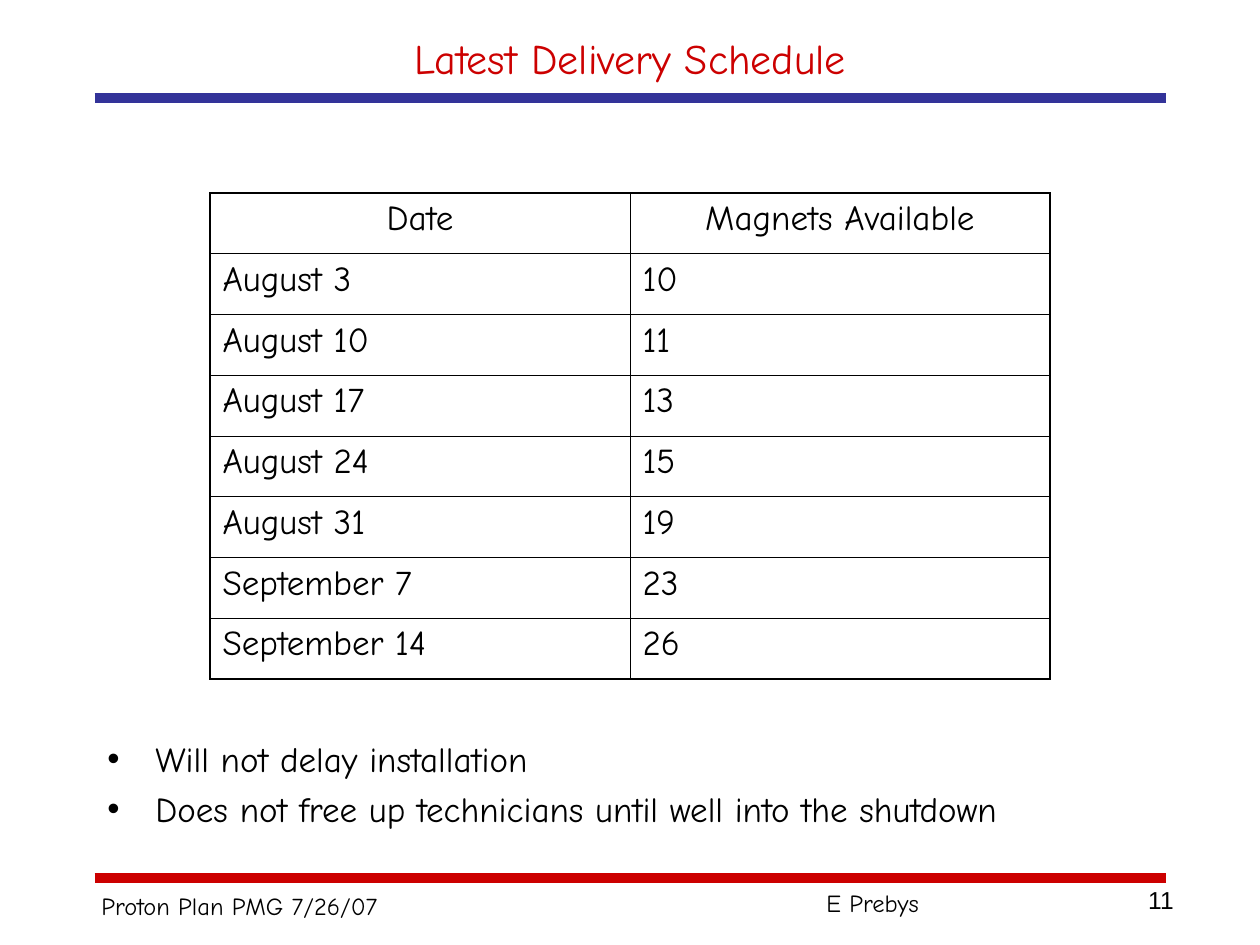
"""Build the magnet delivery schedule slide."""
from lxml import etree
from pptx import Presentation
from pptx import util as u
from pptx.dml.color import RGBColor
from pptx.enum import shapes, text
from pptx.oxml.ns import qn

PX = u.Inches(1) / 126
BLACK = RGBColor(0, 0, 0)
RED = RGBColor(0xCC, 0, 0)
BLUE = RGBColor(0x33, 0x33, 0x99)
FACE = "Comic Neue"
LEFT, MID, RIGHT = text.PP_ALIGN.LEFT, text.PP_ALIGN.CENTER, text.PP_ALIGN.RIGHT
THIN, THICK = 0.45, 1.08

RULES = [(878, RED), (98, BLUE)]
TITLE = "Latest Delivery Schedule"
ROWS = [
    ("Date", "Magnets Available"),
    ("August 3", "10"),
    ("August 10", "11"),
    ("August 17", "13"),
    ("August 24", "15"),
    ("August 31", "19"),
    ("September 7", "23"),
    ("September 14", "26"),
]
POINTS = [
    "Will not delay installation",
    "Does not free up technicians until well into the shutdown",
]
GRID = (210, 193, 840, 486)
FOOT = [
    ("Proton Plan PMG 7/26/07", (89, 885, 302, 43), FACE, LEFT),
    ("E Prebys", (814, 882, 349, 43), FACE, LEFT),
    ("11", (892, 879, 294, 66), "Arial", RIGHT),
]


def px(*vals):
    return [u.Emu(round(v * PX)) for v in vals]


def style(para, size, color=BLACK, face=FACE, align=LEFT):
    para.alignment = align
    para.font.size = u.Pt(size)
    para.font.name = face
    para.font.color.rgb = color


def add_box(slide, box, lines):
    frame = slide.shapes.add_textbox(*px(*box)).text_frame
    frame.word_wrap = True
    frame.text = "\n".join(lines)
    return frame


def add_rule(slide, y, color):
    line = slide.shapes.add_connector(
        shapes.MSO_CONNECTOR.STRAIGHT, *px(94.5, y, 1165.5, y))
    line.line.color.rgb = color
    line.line.width = u.Pt(6)
    etree.SubElement(line._element.spPr, qn("a:effectLst"))


def add_bullet(para):
    props = para._p.get_or_add_pPr()
    inset = px(48)[0]
    props.set("marL", str(inset))
    props.set("indent", str(-inset))
    etree.SubElement(props, qn("a:buFont"), typeface="Arial")
    etree.SubElement(props, qn("a:buChar"), char="•")


def add_edges(cell, widths):
    props = cell._tc.get_or_add_tcPr()
    for i, (side, width) in enumerate(zip("LRTB", widths)):
        edge = etree.Element(qn("a:ln" + side), w=str(u.Pt(width)))
        fill = etree.SubElement(edge, qn("a:solidFill"))
        etree.SubElement(fill, qn("a:srgbClr"), val=str(BLACK))
        props.insert(i, edge)


def add_grid(slide):
    rows, cols = len(ROWS), len(ROWS[0])
    table = slide.shapes.add_table(rows, cols, *px(*GRID)).table
    table.first_row = table.horz_banding = False
    for r, row in enumerate(ROWS):
        for c, word in enumerate(row):
            cell = table.cell(r, c)
            cell.text = word
            cell.fill.background()
            style(cell.text_frame.paragraphs[0], 20, align=LEFT if r else MID)
            outer = (c == 0, c == cols - 1, r == 0, r == rows - 1)
            add_edges(cell, [THICK if out else THIN for out in outer])


def main():
    deck = Presentation()
    deck.slide_width, deck.slide_height = px(1260, 945)
    slide = deck.slides.add_slide(deck.slide_layouts[6])
    for y, color in RULES:
        add_rule(slide, y, color)
    head = add_box(slide, (95, 21, 1070, 73), [TITLE])
    head.vertical_anchor = text.MSO_ANCHOR.MIDDLE
    style(head.paragraphs[0], 24, RED, align=MID)
    body = add_box(slide, (95, 731, 1070, 141), POINTS)
    for i, para in enumerate(body.paragraphs):
        add_bullet(para)
        style(para, 20)
        if i:
            para.space_before = u.Pt(5)
    add_grid(slide)
    for word, box, face, align in FOOT:
        frame = add_box(slide, box, [word])
        style(frame.paragraphs[0], 14, face=face, align=align)
    deck.save("out.pptx")


if __name__ == "__main__":
    main()
